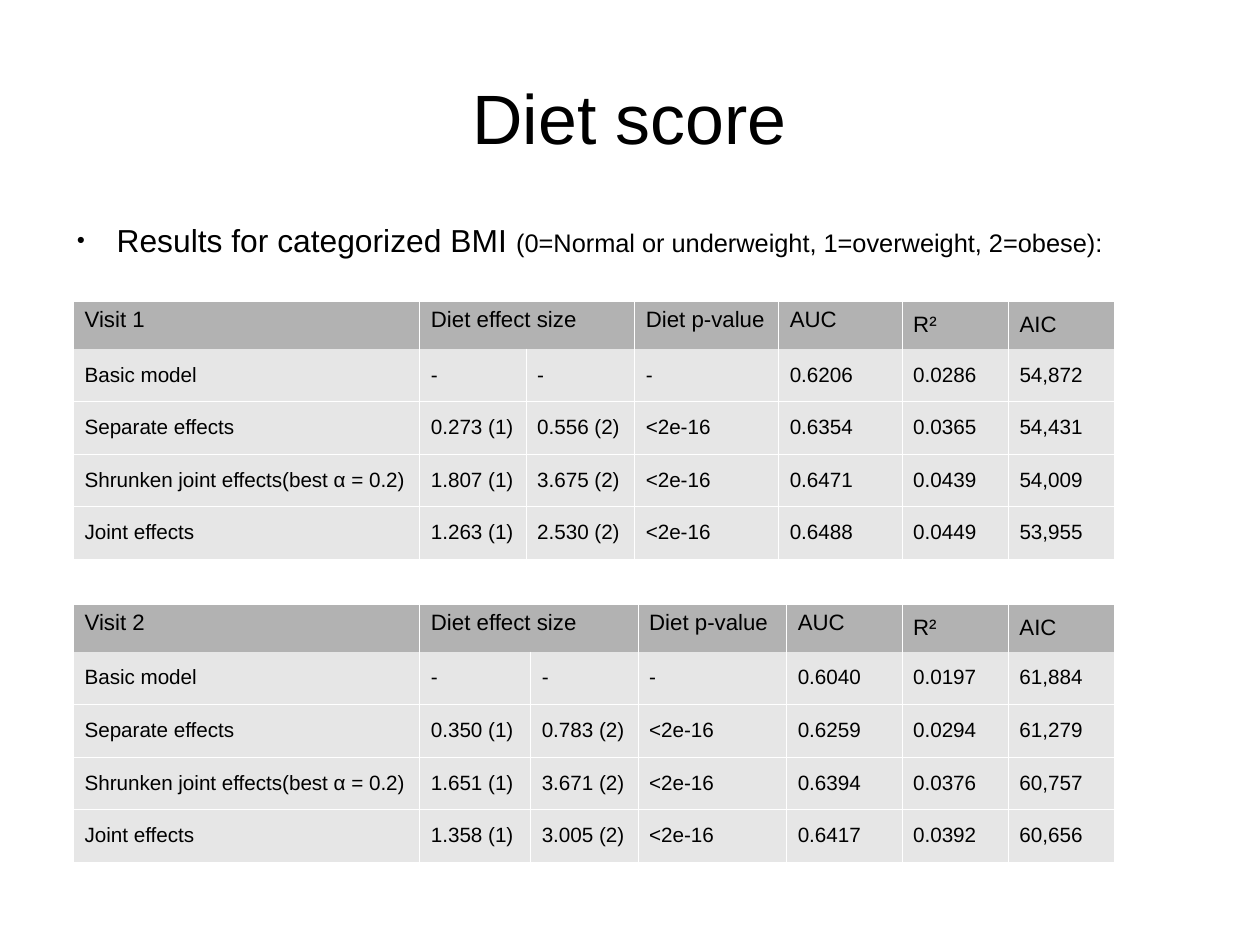
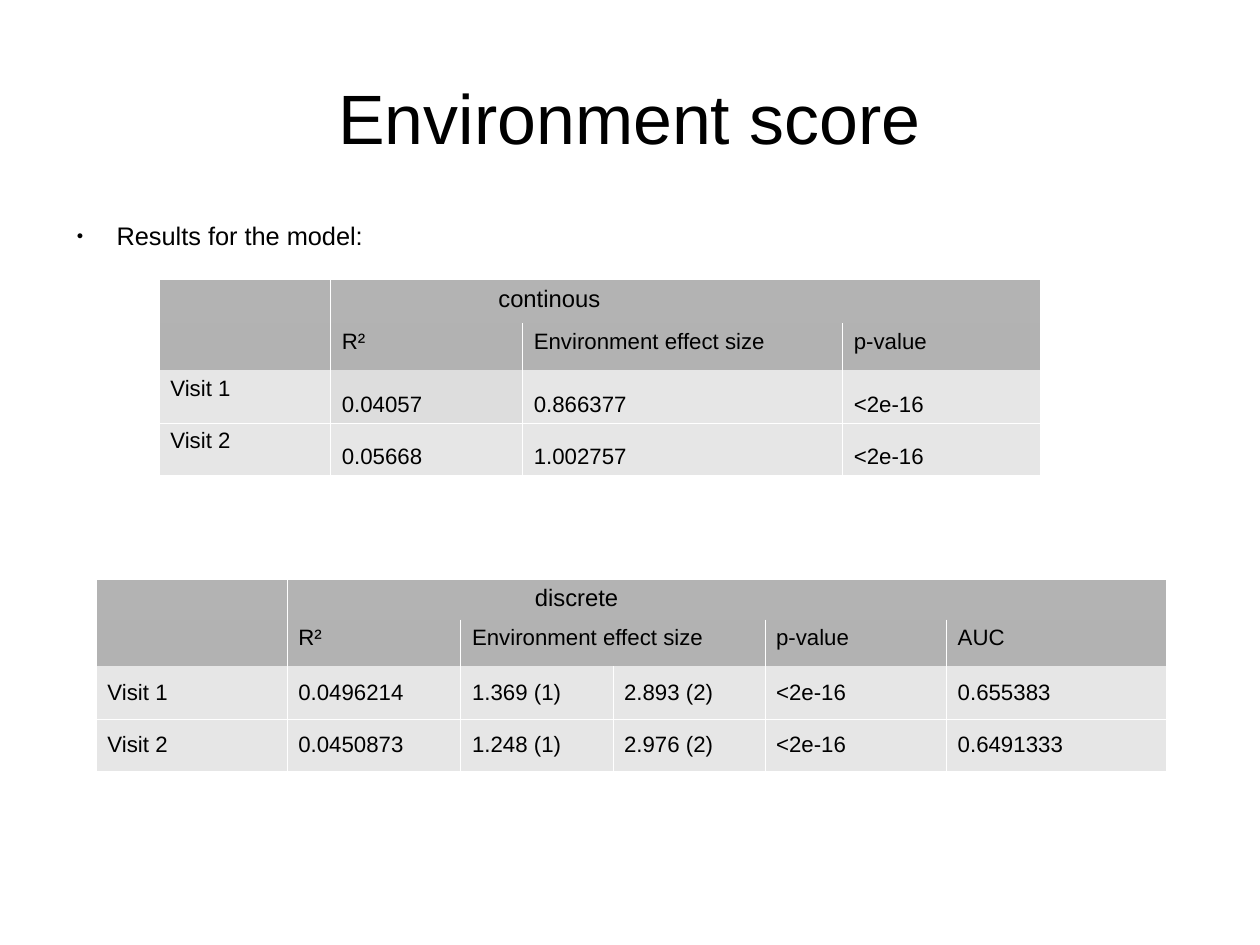
from lxml import etree
from pptx import Presentation
from pptx.dml.color import RGBColor
from pptx.enum.text import MSO_ANCHOR, PP_ALIGN
from pptx.oxml.ns import qn
from pptx.util import Inches, Pt

TOP, MIDDLE, BOTTOM = MSO_ANCHOR.TOP, MSO_ANCHOR.MIDDLE, MSO_ANCHOR.BOTTOM
CENTER = PP_ALIGN.CENTER

FONT = "Arial"
COLORS = {
    "text": "000000",
    "paper": "FFFFFF",
    "group": "B3B3B3",
    "header": "B2B2B2",
    "body": "E6E6E6",
    "accent": "DDDDDD",
}
CM_PER_INCH = 2.54
NO_STYLE = "{2D5ABB26-0587-4C30-8999-92F81FD0307C}"
BORDER = Pt(0.06)
HEADER_H, BODY_H = 0.41, 0.46
MERGED = None  # a cell that joins the one on its left


def add_xml(parent, tag, **attrs):
    return etree.SubElement(parent, qn(tag), **attrs)


def write(p, text, size, align=None, before=None, after=None, indent=None):
    """Add text to a paragraph; an empty one only gets its line height."""
    if not text:
        add_xml(p._p, "a:endParaRPr", sz=str(size * 100))
        return
    r = p.add_run()
    r.text = text
    r.font.size = Pt(size)
    r.font.name = FONT
    r.font.color.rgb = RGBColor.from_string(COLORS["text"])
    if align is not None:
        p.alignment = align
    if before is not None:
        p.space_before = Pt(before)
    if after is not None:
        p.space_after = Pt(after)
    if indent is not None:
        p._p.get_or_add_pPr().set("marL", str(Inches(indent)))


class Deck:
    def __init__(self, prs):
        self.prs = prs
        self.slide = None

    def text_frame(self, left, top, width, height, anchor=TOP):
        sp = self.slide.shapes.add_textbox(
            Inches(left), Inches(top), Inches(width), Inches(height))
        tf = sp.text_frame
        tf.word_wrap = True
        tf.vertical_anchor = anchor
        tf.margin_left = tf.margin_right = tf.margin_top = tf.margin_bottom = 0
        return tf

    def new_slide(self, title):
        self.slide = self.prs.slides.add_slide(self.prs.slide_layouts[6])
        tf = self.text_frame(0.55, 0.33, 9.92, 1.38, MIDDLE)
        write(tf.paragraphs[0], title, 44, align=CENTER)

    def bullet(self, *parts):
        """Add one bullet line made of (text, size) parts."""
        p = self.text_frame(0.55, 1.93, 9.92, 4.79).paragraphs[0]
        for text, size in parts:
            write(p, text, size, after=14.2, indent=0.47)
        pPr = p._p.get_or_add_pPr()
        pPr.set("indent", str(Inches(-0.35)))
        color = add_xml(pPr, "a:buClr")
        add_xml(color, "a:srgbClr", val=COLORS["text"])
        add_xml(pPr, "a:buSzPct", val="45000")
        add_xml(pPr, "a:buFont", typeface=FONT)
        add_xml(pPr, "a:buChar", char="●")

    def fill(self, cell, color):
        cell.fill.solid()
        cell.fill.fore_color.rgb = RGBColor.from_string(COLORS[color])

    def borders(self, cell, sides):
        tcPr = cell._tc.get_or_add_tcPr()
        for side in sides:
            ln = add_xml(tcPr, f"a:ln{side}", w=str(BORDER))
            add_xml(add_xml(ln, "a:solidFill"), "a:srgbClr", val=COLORS["paper"])

    def row(self, table, i, texts, color, sides, size, anchors, **fmt):
        """Fill row i; fmt applies to every cell after the first."""
        for j, text in enumerate(texts):
            cell = table.cell(i, j)
            self.borders(cell, sides)
            self.fill(cell, color)
            cell.vertical_anchor = anchors[j]
            write(cell.text_frame.paragraphs[0], text, size, **(fmt if j else {}))
        start = 0
        for j in range(1, len(texts) + 1):
            if j == len(texts) or texts[j] is not MERGED:
                if j - start > 1:
                    table.cell(i, start).merge(table.cell(i, j - 1))
                start = j

    def table(self, left, top, widths, header, body, size=14, group=None,
              head_anchors=None, body_anchors=None):
        """Add a table; group is (text, indent, height) of a row over the header."""
        n = len(widths)
        heights = [group[2]] if group else []
        heights += [HEADER_H] + [BODY_H] * len(body)
        frame = self.slide.shapes.add_table(
            len(heights), n, Inches(left), Inches(top),
            Inches(sum(widths)), Inches(sum(heights)))
        table = frame.table
        table._tbl.tblPr.find(qn("a:tableStyleId")).text = NO_STYLE
        table.first_row = table.horz_banding = False
        for col, width in zip(table.columns, widths):
            col.width = Inches(width)
        for row, height in zip(table.rows, heights):
            row.height = Inches(height)

        first = 0
        if group:
            text, indent, _ = group
            self.row(table, 0, ["", text] + [MERGED] * (n - 2), "group", "LR",
                     15, [TOP] * n, indent=indent)
            first = 1
        self.row(table, first, header, "header", "LR", 14,
                 head_anchors or [TOP] * n)
        for i, texts in enumerate(body, first + 1):
            self.row(table, i, texts, "body", "LRB", size,
                     body_anchors or [MIDDLE] * n, before=5.7, after=5.7)
        return table


MODELS = ["Basic model", "Separate effects",
          "Shrunken joint effects(best α = 0.2)", "Joint effects"]
DIET_VISITS = [
    ("Visit 1", 2.64, [3.03, 0.93, 0.95, 1.26, 1.08, 0.93, 0.93], [
        ["-", "-", "-", "0.6206", "0.0286", "54,872"],
        ["0.273 (1)", "0.556 (2)", "<2e-16", "0.6354", "0.0365", "54,431"],
        ["1.807 (1)", "3.675 (2)", "<2e-16", "0.6471", "0.0439", "54,009"],
        ["1.263 (1)", "2.530 (2)", "<2e-16", "0.6488", "0.0449", "53,955"],
    ]),
    ("Visit 2", 5.29, [3.03, 0.97, 0.94, 1.3, 1.01, 0.93, 0.93], [
        ["-", "-", "-", "0.6040", "0.0197", "61,884"],
        ["0.350 (1)", "0.783 (2)", "<2e-16", "0.6259", "0.0294", "61,279"],
        ["1.651 (1)", "3.671 (2)", "<2e-16", "0.6394", "0.0376", "60,757"],
        ["1.358 (1)", "3.005 (2)", "<2e-16", "0.6417", "0.0392", "60,656"],
    ]),
]


def diet_slide(deck):
    deck.new_slide("Diet score")
    deck.bullet(("Results for categorized BMI ", 20),
                ("(0=Normal or underweight, 1=overweight, 2=obese):", 16))
    for visit, top, widths, results in DIET_VISITS:
        header = [visit, "Diet effect size", MERGED, "Diet p-value",
                  "AUC", "R²", "AIC"]
        body = [[model] + values for model, values in zip(MODELS, results)]
        deck.table(0.64, top, widths, header, body, size=13,
                   head_anchors=[TOP] * 5 + [MIDDLE] * 2)


def environment_slide(deck):
    deck.new_slide("Environment score")
    deck.bullet(("Results for the model:", 16))
    continuous = deck.table(
        1.39, 2.45, [1.5, 1.68, 2.8, 1.73],
        ["", "R²", "Environment effect size", "p-value"],
        [["Visit 1", "0.04057", "0.866377", "<2e-16"],
         ["Visit 2", "0.05668", "1.002757", "<2e-16"]],
        group=("continous", 1.37, 0.38),
        body_anchors=[TOP] + [BOTTOM] * 3)
    deck.fill(continuous.cell(2, 1), "accent")
    deck.table(
        0.84, 5.07, [1.67, 1.52, 1.33, 1.33, 1.59, 1.92],
        ["", "R²", "Environment effect size", MERGED, "p-value", "AUC"],
        [["Visit 1", "0.0496214", "1.369 (1)", "2.893 (2)", "<2e-16", "0.655383"],
         ["Visit 2", "0.0450873", "1.248 (1)", "2.976 (2)", "<2e-16", "0.6491333"]],
        group=("discrete", 2.07, 0.34))


def main():
    prs = Presentation()
    prs.slide_width = Inches(28 / CM_PER_INCH)
    prs.slide_height = Inches(21 / CM_PER_INCH)
    deck = Deck(prs)
    diet_slide(deck)
    environment_slide(deck)
    prs.save("out.pptx")


if __name__ == "__main__":
    main()
